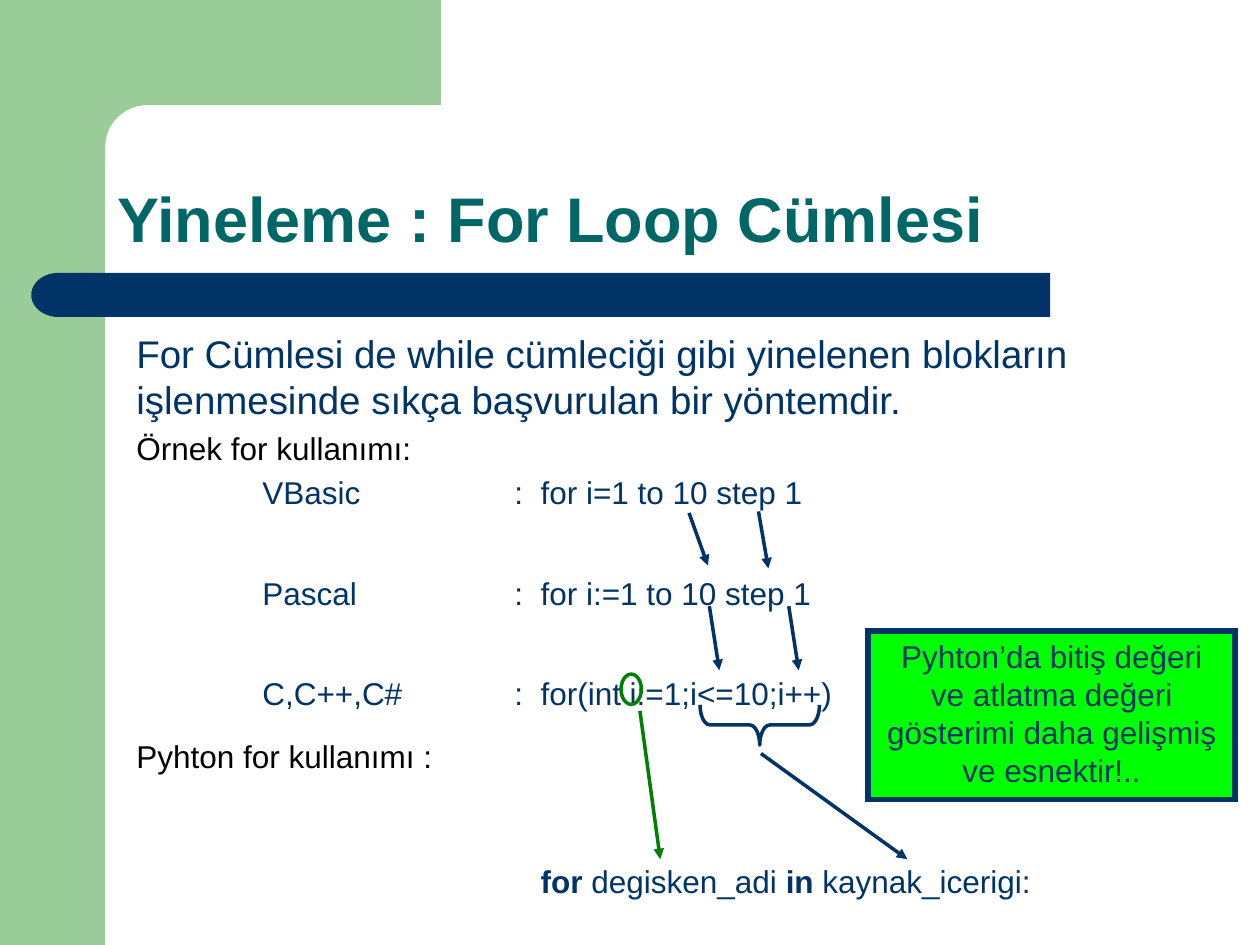
from math import cos, pi, sin

from lxml.etree import SubElement
from pptx import Presentation
from pptx.dml.color import RGBColor
from pptx.enum.shapes import MSO_CONNECTOR as Link, MSO_SHAPE as Kind
from pptx.enum.text import MSO_ANCHOR as Anchor, PP_ALIGN as Align
from pptx.oxml.ns import qn
from pptx.util import Cm, Pt

NAVY = RGBColor(0x00, 0x33, 0x66)
TEAL = RGBColor(0x00, 0x66, 0x66)
SAGE = RGBColor(0x99, 0xCC, 0x99)
GREEN = RGBColor(0x00, 0x80, 0x00)
LIME = RGBColor(0x00, 0xFF, 0x00)
BLACK = RGBColor(0x00, 0x00, 0x00)
FONT = "Arial"
STOPS = (2.54, 7.62)  # language column, code column
CODE = 8.15  # start of the code after the colon


def style(shape, fill=None, line=None, width=2):
    shape.shadow.inherit = False
    if fill is None:
        shape.fill.background()
    else:
        shape.fill.solid()
        shape.fill.fore_color.rgb = fill
    if line is None:
        shape.line.fill.background()
    else:
        shape.line.color.rgb = line
        shape.line.width = Pt(width)


def add(slide, kind, box, **look):
    shape = slide.shapes.add_shape(kind, *map(Cm, box))
    style(shape, **look)
    return shape


def write(para, text, size, color, bold=False):
    run = para.add_run()
    run.text = text
    font = run.font
    font.name, font.size, font.bold = FONT, Pt(size), bold
    font.color.rgb = color


def arrow(slide, start, end, color):
    line = slide.shapes.add_connector(Link.STRAIGHT, *map(Cm, start + end))
    line.line.color.rgb = color
    line.line.width = Pt(2)
    SubElement(line.line._get_or_add_ln(), qn("a:tailEnd"), type="triangle")
    SubElement(line._element.spPr, qn("a:effectLst"))


def layout(para, indent):
    """Give the paragraph a left indent in cm, or else the column tabs."""
    props = para._p.get_or_add_pPr()
    if indent:
        props.set("marL", str(Cm(indent)))
        props.set("indent", "0")
        return
    stops = SubElement(props, qn("a:tabLst"))
    for stop in STOPS:
        SubElement(stops, qn("a:tab"), pos=str(Cm(stop)), algn="l")


def frame(slide, box):
    """Draw the side band, the rounded corner and the bar under the title."""
    x, y, _, h = box
    band, rad = 2.12, 0.85
    add(slide, Kind.RECTANGLE, (x, y, band, h), fill=SAGE)
    mid = band + rad
    arc = [(mid - rad * sin(a), mid - rad * cos(a))
           for a in (pi / 2 * i / 12 for i in range(13))]
    edge = [(8.89, 0), (8.89, band), *arc, (band, 3.25), (1.27, 3.25)]
    pen = slide.shapes.build_freeform(Cm(x + 1.27), Cm(y))
    pen.add_line_segments([(Cm(x + a), Cm(y + b)) for a, b in edge])
    style(pen.convert_to_shape(), fill=SAGE)
    add(slide, Kind.RECTANGLE, (x + 1.7, y + 5.5, 19.47, 0.89), fill=NAVY)
    cap = add(slide, Kind.FLOWCHART_DELAY, (x + 0.63, y + 5.5, 1.09, 0.89),
              fill=NAVY)
    cap.rotation = 180


def head(slide, box):
    title = slide.shapes.title
    title.left, title.top, title.width, title.height = map(Cm, box)
    title.text_frame.vertical_anchor = Anchor.BOTTOM
    para = title.text_frame.paragraphs[0]
    para.alignment = Align.LEFT
    para.line_spacing = 0.9
    write(para, "Yineleme : For Loop Cümlesi", 36, TEAL, True)


def body(slide, box):
    frm = slide.shapes.add_textbox(*map(Cm, box)).text_frame
    frm.word_wrap = True
    # runs as (text, bold), size, color, line spacing, space before, indent
    rows = [
        ([("For Cümlesi de while cümleciği gibi yinelenen blokların "
           "işlenmesinde sıkça başvurulan bir yöntemdir.", False)],
         22, NAVY, 1, 0, 0),
        ([("Örnek for kullanımı:", False)], 18, BLACK, 1, 3.6, 0),
        ([("\tVBasic\t:  for i=1 to 10 step 1", False)], 18, NAVY, 1, 3.6, 0),
        ([("\tPascal\t:  for i:=1 to 10 step 1", False)],
         18, NAVY, 2.5, 3.6, 0),
        ([("\tC,C++,C#\t:  for(int i:=1;i<=10;i++)", False)],
         18, NAVY, 2.5, 3.6, 0),
        ([("Pyhton for kullanımı :", False)], 18, BLACK, 1.5, 3.6, 0),
        ([("for", True), (" degisken_adi ", False), ("in", True),
          (" kaynak_icerigi:", False)], 18, NAVY, 1.5, 39, CODE),
    ]
    for i, (runs, size, color, gap, before, indent) in enumerate(rows):
        para = frm.add_paragraph() if i else frm.paragraphs[0]
        layout(para, indent)
        para.line_spacing = float(gap)
        para.space_before = Pt(before)
        for text, bold in runs:
            write(para, text, size, color, bold)


def marks(slide, box):
    """Link the matching parts of the loops with arrows, a ring and a brace."""
    x, y = box[:2]
    links = [
        (0.4, 4.03, 0.41, 2.99, GREEN),
        (2.84, 4.89, 2.95, 2.13, NAVY),
        (1.8, 1.92, 0.2, 1.29, NAVY),
        (3.4, 1.92, 0.2, 1.29, NAVY),
        (1.39, 0.04, 0.38, 1.06, NAVY),
        (2.79, 0.01, 0.2, 1.15, NAVY),
    ]
    for left, top, dx, dy, color in links:
        start = (x + left, y + top)
        arrow(slide, start, (start[0] + dx, start[1] + dy), color)
    brace = add(slide, Kind.RIGHT_BRACE, (x + 2.41, y + 3.11, 0.81, 2.41),
                line=NAVY)
    brace.adjustments[0] = 0.25
    brace.rotation = 90
    add(slide, Kind.OVAL, (x + 0.02, y + 3.29, 0.41, 0.61), line=GREEN)


def note(slide, box):
    shape = add(slide, Kind.RECTANGLE, box, fill=LIME, line=NAVY, width=3)
    SubElement(shape.line._get_or_add_ln(), qn("a:miter"), lim="800000")
    frm = shape.text_frame
    frm.word_wrap = True
    frm.vertical_anchor = Anchor.TOP
    para = frm.paragraphs[0]
    para.alignment = Align.CENTER
    write(para, "Pyhton’da bitiş değeri ve atlatma değeri gösterimi daha "
          "gelişmiş ve esnektir!..", 18, NAVY)


def main():
    prs = Presentation()
    prs.slide_width, prs.slide_height = Cm(25.4), Cm(19.05)
    slide = prs.slides.add_slide(prs.slide_layouts[5])
    frame(slide, (0, 0, 25.4, 19.05))
    head(slide, (2.12, 2.12, 22.01, 3.18))
    body(slide, (2.5, 6.53, 22, 11.99))
    marks(slide, (12.5, 10.3, 5.8, 7.02))
    note(slide, (17.5, 12.72, 7.4, 3.4))
    prs.save("out.pptx")


if __name__ == "__main__":
    main()
